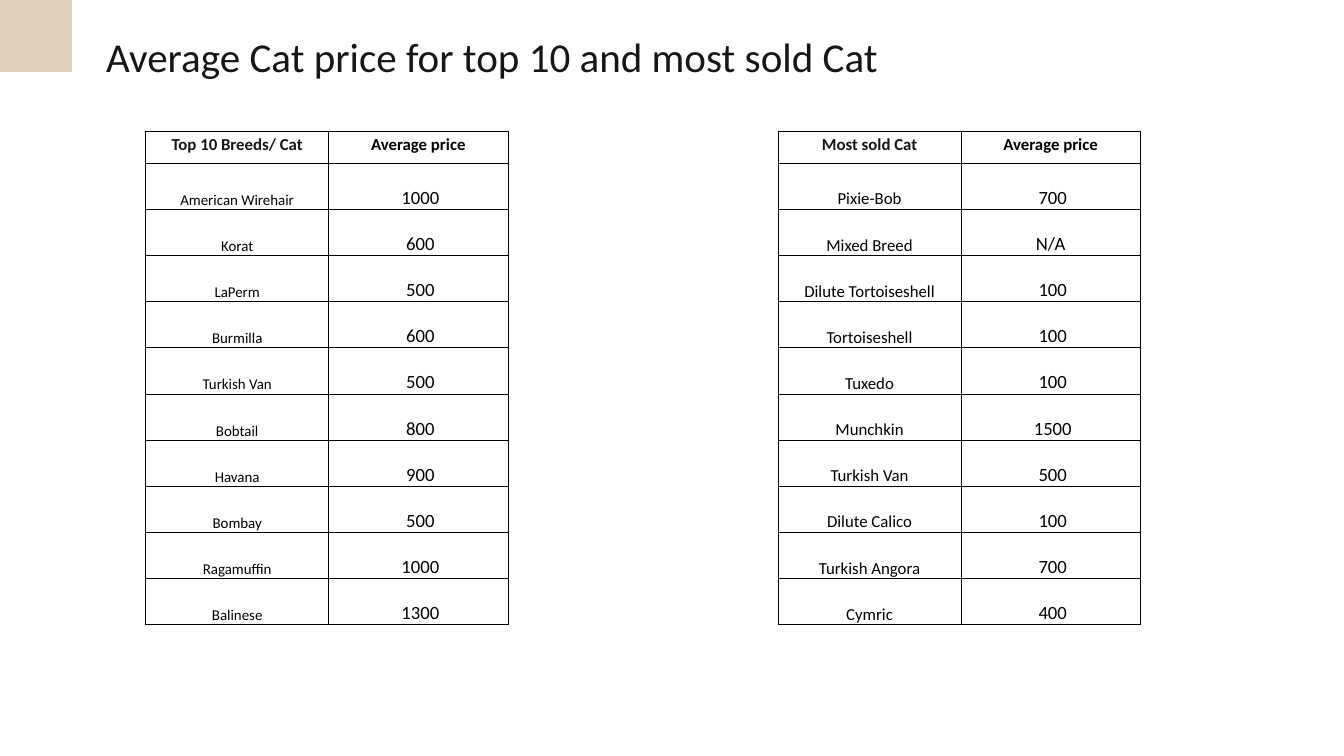
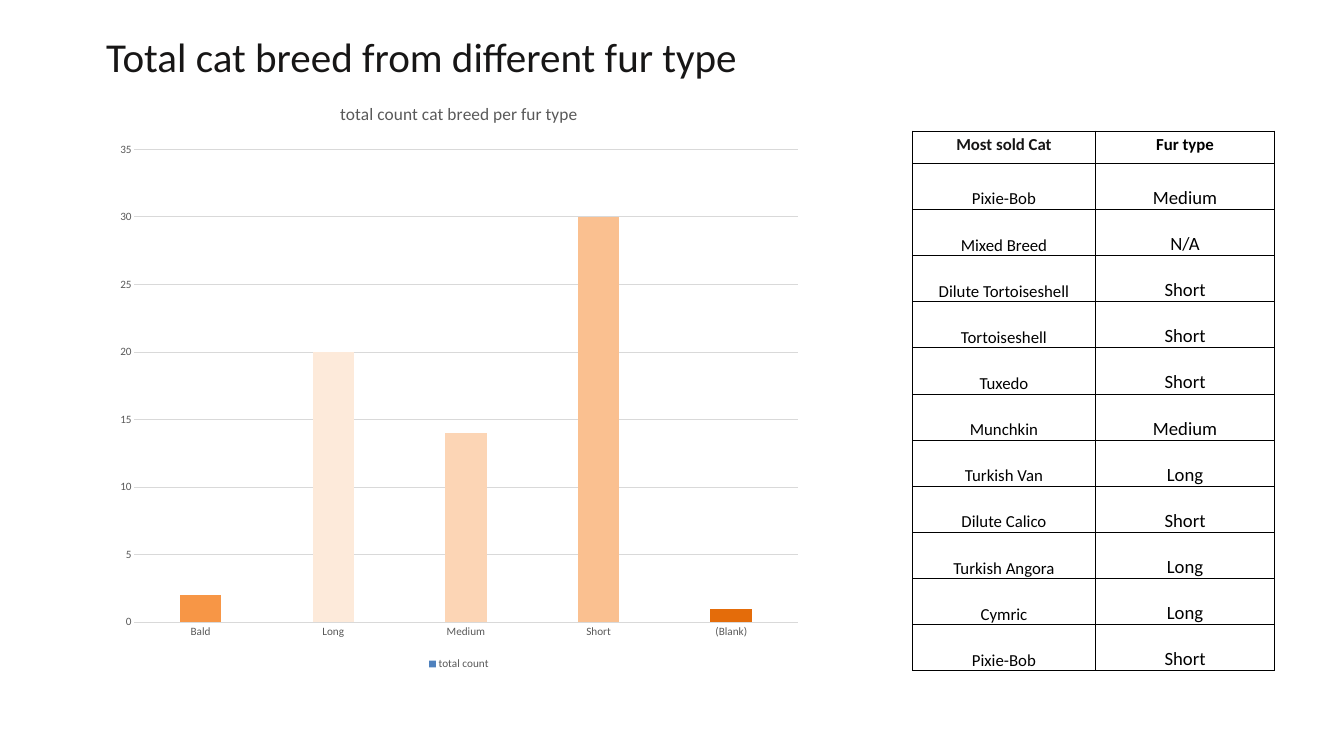
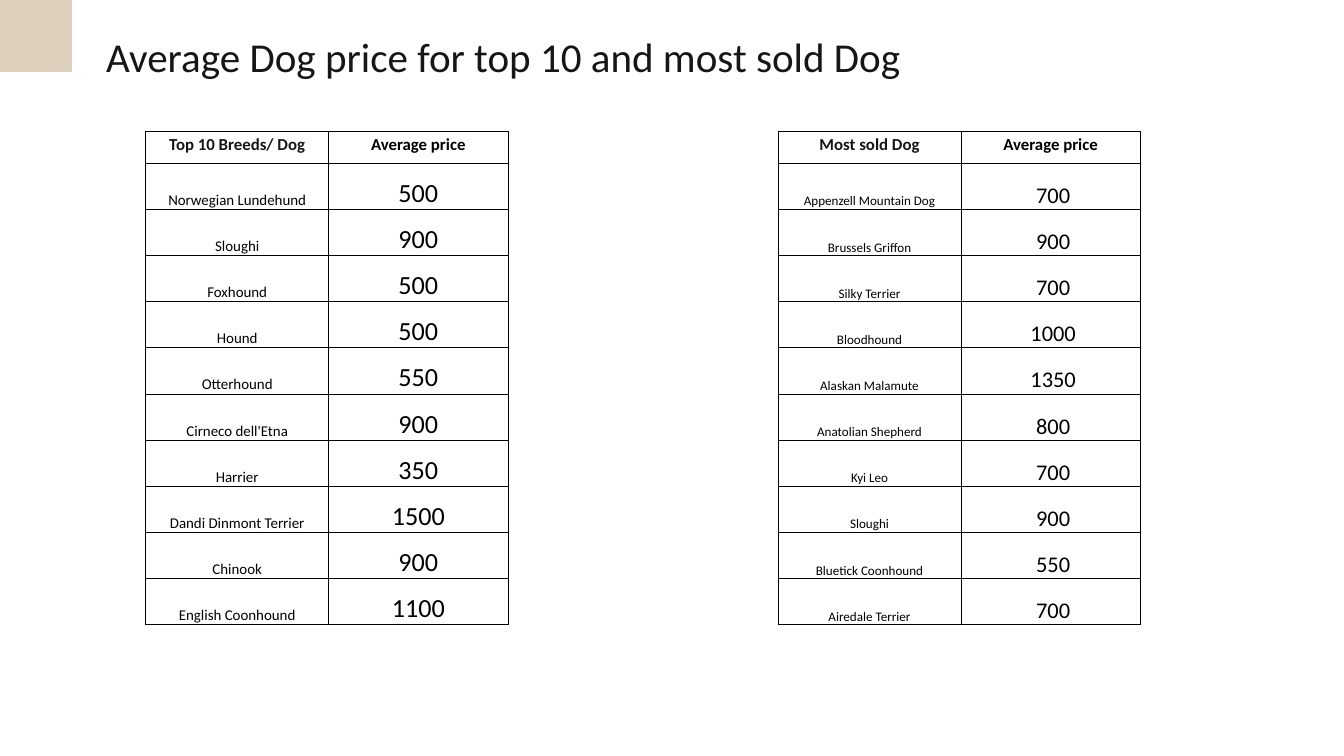
import pptx
import pptx.chart.data
import pptx.dml.color
import pptx.enum.chart
import pptx.enum.shapes
import pptx.enum.text
import pptx.oxml
import pptx.oxml.ns
import pptx.util

Inches, Pt = pptx.util.Inches, pptx.util.Pt
RGBColor = pptx.dml.color.RGBColor
MSO_ANCHOR, PP_ALIGN = pptx.enum.text.MSO_ANCHOR, pptx.enum.text.PP_ALIGN

# Shared look
FONT = "Calibri"
INK = RGBColor(0x17, 0x16, 0x16)
BLACK = RGBColor(0, 0, 0)
SAND = RGBColor(0xDD, 0xD0, 0xBC)
GRAY = RGBColor(0x59, 0x59, 0x59)
GRID = RGBColor(0xD9, 0xD9, 0xD9)
SERIES_BLUE = RGBColor(0x4F, 0x81, 0xBD)

# Content
TOP_CATS = [
    ("American Wirehair", 1000), ("Korat", 600), ("LaPerm", 500), ("Burmilla", 600),
    ("Turkish Van", 500), ("Bobtail", 800), ("Havana", 900), ("Bombay", 500),
    ("Ragamuffin", 1000), ("Balinese", 1300),
]
SOLD_CATS = [  # breed, price, fur type
    ("Pixie-Bob", 700, "Medium"), ("Mixed Breed", "N/A", "N/A"),
    ("Dilute Tortoiseshell", 100, "Short"), ("Tortoiseshell", 100, "Short"),
    ("Tuxedo", 100, "Short"), ("Munchkin", 1500, "Medium"),
    ("Turkish Van", 500, "Long"), ("Dilute Calico", 100, "Short"),
    ("Turkish Angora", 700, "Long"), ("Cymric", 400, "Long"),
]
SOLD_CAT_PRICES = [(breed, price) for breed, price, fur in SOLD_CATS]
SOLD_CAT_FURS = [(breed, fur) for breed, price, fur in SOLD_CATS] + [("Pixie-Bob", "Short")]
TOP_DOGS = [
    ("Norwegian Lundehund", 500), ("Sloughi", 900), ("Foxhound", 500), ("Hound", 500),
    ("Otterhound", 550), ("Cirneco dell'Etna", 900), ("Harrier", 350),
    ("Dandi Dinmont Terrier", 1500), ("Chinook", 900), ("English Coonhound", 1100),
]
SOLD_DOGS = [
    ("Appenzell Mountain Dog", 700), ("Brussels Griffon", 900), ("Silky Terrier", 700),
    ("Bloodhound", 1000), ("Alaskan Malamute", 1350), ("Anatolian Shepherd", 800),
    ("Kyi Leo", 700), ("Sloughi", 900), ("Bluetick Coonhound", 550), ("Airedale Terrier", 700),
]
FUR_COUNTS = [  # fur type, breeds, column colour
    ("Bald", 2, RGBColor(0xF7, 0x96, 0x46)), ("Long", 20, RGBColor(0xFD, 0xEA, 0xDA)),
    ("Medium", 14, RGBColor(0xFC, 0xD5, 0xB5)), ("Short", 30, RGBColor(0xFA, 0xC0, 0x90)),
    ("(Blank)", 1, RGBColor(0xE4, 0x6C, 0x0A)),
]

# Grid, in inches
LEFT, TITLE_TOP, TITLE_HEIGHT = 1.58, 0.04, 1.05
CORNER = 1.07
TABLE_TOP, TABLE_LEFT, TABLE_RIGHT, TABLE_FAR = 1.95, 2.17, 11.58, 13.58
COLUMNS = (2.72, 2.67)
HEADER_HEIGHT = 0.48
ROW_HEIGHT = (7.35 - HEADER_HEIGHT) / 10


def style_font(font, size, color, bold=False):
    font.name, font.size, font.bold = FONT, Pt(size), bold
    font.color.rgb = color


def add_page(deck, title, title_width=13.42, corner=True):
    page = deck.slides.add_slide(deck.slide_layouts[5])
    if corner:
        square = page.shapes.add_shape(
            pptx.enum.shapes.MSO_SHAPE.RECTANGLE, 0, 0, Inches(CORNER), Inches(CORNER))
        square.shadow.inherit = False
        square.fill.solid()
        square.fill.fore_color.rgb = SAND
        square.line.fill.background()
    box = page.shapes.title
    box.left, box.top = Inches(LEFT), Inches(TITLE_TOP)
    box.width, box.height = Inches(title_width), Inches(TITLE_HEIGHT)
    frame = box.text_frame
    frame.margin_left = frame.margin_top = frame.margin_right = frame.margin_bottom = 0
    frame.vertical_anchor = MSO_ANCHOR.TOP
    frame.word_wrap = True
    frame.auto_size = pptx.enum.text.MSO_AUTO_SIZE.SHAPE_TO_FIT_TEXT
    para = frame.paragraphs[0]
    para.alignment, para.line_spacing = PP_ALIGN.LEFT, Pt(84)
    span = para.add_run()
    span.text = title
    style_font(span.font, 44, INK)
    return page


def add_borders(cell):
    properties = cell._tc.get_or_add_tcPr()
    for place, side in enumerate(("lnL", "lnR", "lnT", "lnB")):
        properties.insert(place, pptx.oxml.parse_xml(
            f'<a:{side} {pptx.oxml.ns.nsdecls("a")} w="12700"><a:solidFill>'
            f'<a:srgbClr val="{BLACK}"/></a:solidFill></a:{side}>'))


def fill_cell(cell, text, size, color, header):
    cell.fill.background()
    add_borders(cell)
    if not header:
        cell.vertical_anchor = MSO_ANCHOR.BOTTOM
        cell.margin_left = cell.margin_top = cell.margin_right = Inches(0.01)
        cell.margin_bottom = 0
    para = cell.text_frame.paragraphs[0]
    para.alignment = PP_ALIGN.CENTER
    span = para.add_run()
    span.text = text
    style_font(span.font, size, color, bold=header)


def add_breed_table(page, left, headers, rows, sizes, lead=" "):
    """Numbers are written after the lead; sizes are for the two columns."""
    height = HEADER_HEIGHT + ROW_HEIGHT * len(rows)
    table = page.shapes.add_table(
        len(rows) + 1, len(COLUMNS), Inches(left), Inches(TABLE_TOP),
        Inches(sum(COLUMNS)), Inches(height)).table
    table.first_row = table.horz_banding = False
    for column, width in zip(table.columns, COLUMNS):
        column.width = Inches(width)
    for index, row in enumerate([headers] + rows):
        header = index == 0
        table.rows[index].height = Inches(HEADER_HEIGHT if header else ROW_HEIGHT)
        for place, value in enumerate(row):
            text = f"{lead}{value}" if isinstance(value, int) else value
            color = INK if header and place == 0 else BLACK
            fill_cell(table.cell(index, place), text, 18 if header else sizes[place], color, header)


def add_fur_chart(page):
    data = pptx.chart.data.CategoryChartData()
    data.categories = [fur for fur, count, color in FUR_COUNTS]
    data.add_series("total count", [count for fur, count, color in FUR_COUNTS])
    chart = page.shapes.add_chart(
        pptx.enum.chart.XL_CHART_TYPE.COLUMN_CLUSTERED,
        Inches(LEFT), Inches(1.24), Inches(10.5), Inches(8.78), data).chart
    style_font(chart.font, 10, BLACK)

    # Title and legend
    chart.has_title = True
    span = chart.chart_title.text_frame.paragraphs[0].add_run()
    span.text = "total count cat breed per fur type"
    style_font(span.font, 18.6, GRAY)
    chart.chart_title.include_in_layout = False
    chart.has_legend = True
    chart.legend.position = pptx.enum.chart.XL_LEGEND_POSITION.BOTTOM
    chart.legend.include_in_layout = False
    style_font(chart.legend.font, 12, GRAY)

    # Axes
    for axis in (chart.category_axis, chart.value_axis):
        axis.major_tick_mark = axis.minor_tick_mark = pptx.enum.chart.XL_TICK_MARK.NONE
        style_font(axis.tick_labels.font, 12, GRAY)
    chart.value_axis.format.line.fill.background()
    chart.value_axis.has_major_gridlines = True
    for line in (chart.category_axis.format.line, chart.value_axis.major_gridlines.format.line):
        line.color.rgb, line.width = GRID, Pt(0.75)

    # Columns
    plot = chart.plots[0]
    plot.vary_by_categories = False
    plot.gap_width, plot.overlap = 219, -27
    series = plot.series[0]
    series.format.fill.solid()
    series.format.fill.fore_color.rgb = SERIES_BLUE
    for index, (fur, count, color) in enumerate(FUR_COUNTS):
        fill = series.points[index].format.fill
        fill.solid()
        fill.fore_color.rgb = color


def main():
    deck = pptx.Presentation()
    deck.slide_width, deck.slide_height = Inches(20), Inches(11.25)

    # Cat prices
    page = add_page(deck, "Average Cat price for top 10 and most sold Cat")
    add_breed_table(page, TABLE_LEFT, ("Top 10 Breeds/ Cat", "Average price"), TOP_CATS, (16, 20))
    add_breed_table(page, TABLE_RIGHT, ("Most sold Cat", "Average price"), SOLD_CAT_PRICES, (18, 20))

    # Cat fur types
    page = add_page(deck, "Total cat breed from different fur type", corner=False)
    add_fur_chart(page)
    add_breed_table(page, TABLE_FAR, ("Most sold Cat", "Fur type"), SOLD_CAT_FURS, (18, 20))

    # Dog prices
    page = add_page(deck, "Average Dog price for top 10 and most sold Dog", title_width=14.08)
    add_breed_table(page, TABLE_LEFT, ("Top 10 Breeds/ Dog", "Average price"), TOP_DOGS, (16, 28), lead="")
    add_breed_table(page, TABLE_RIGHT, ("Most sold Dog", "Average price"), SOLD_DOGS, (14, 24))

    deck.save("out.pptx")


if __name__ == "__main__":
    main()
